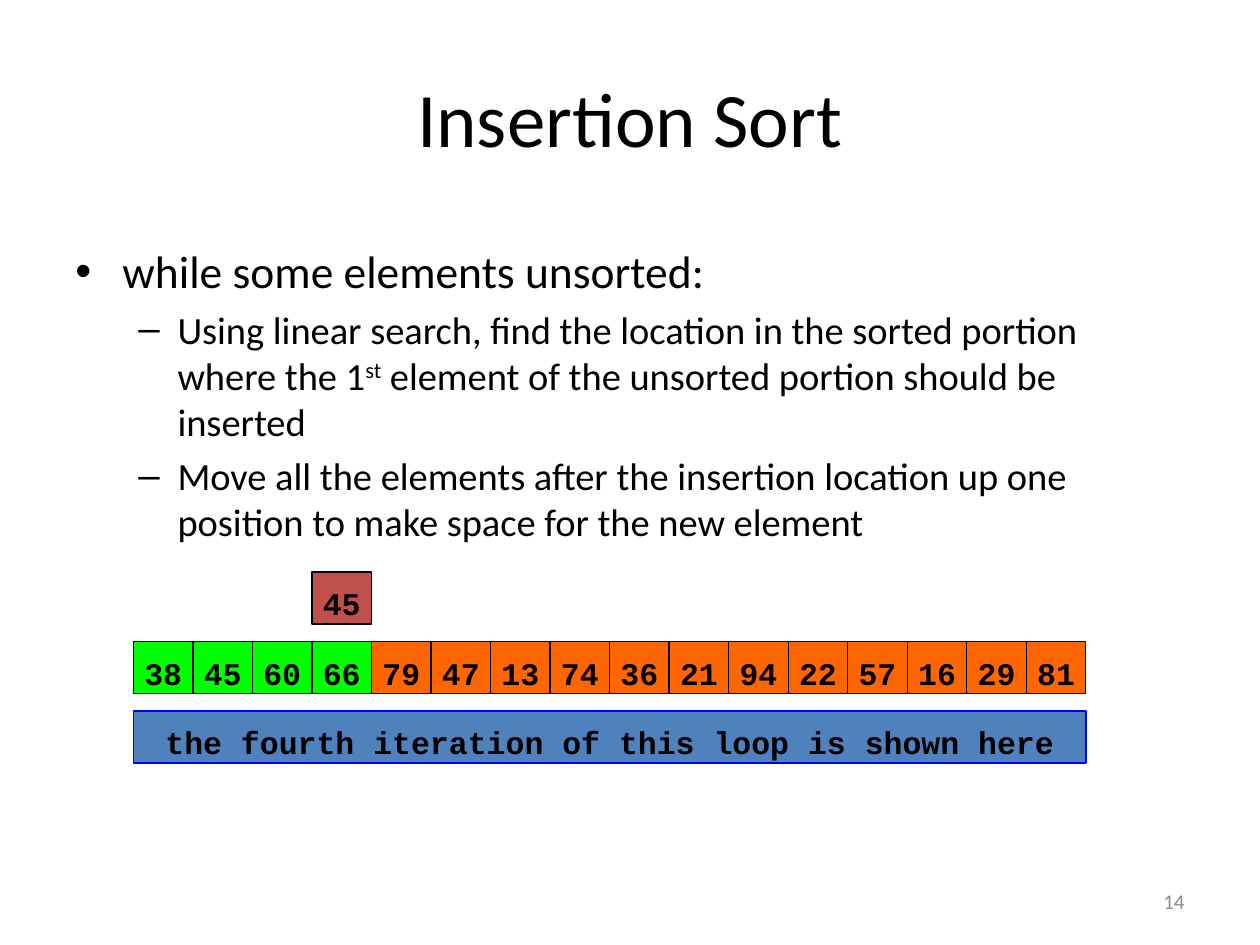
from pptx import Presentation
from pptx.dml.color import RGBColor
from pptx.enum.shapes import MSO_SHAPE as Shape
from pptx.enum.text import MSO_ANCHOR as Anchor, PP_ALIGN as Align
from pptx.oxml.ns import qn
from pptx.util import Cm, Pt
from lxml.etree import SubElement


def color(value):
    return RGBColor.from_string(value)


def write(para, text, font="Calibri", size=18, fill="000000", bold=False, align=None, raised=False):
    if align is not None:
        para.alignment = align
    span = para.add_run()
    span.text = text
    span.font.name = font
    span.font.size = Pt(size)
    span.font.bold = bold
    span.font.color.rgb = color(fill)
    if raised:
        span._r.get_or_add_rPr().set("baseline", "30000")


class SlideBuilder:
    code = {"font": "Courier New", "size": 18, "bold": True, "align": Align.CENTER}
    levels = [
        {"bullet": "•", "size": 26, "left": 0.95, "hang": 0.95, "before": 0},
        {"bullet": "–", "size": 22, "left": 2.06, "hang": 0.79, "before": 4.4},
    ]

    def __init__(self, page):
        self.page = page

    def title(self, text, left, top, width, height):
        box = self.page.shapes.title
        box.left, box.top, box.width, box.height = Cm(left), Cm(top), Cm(width), Cm(height)
        box.text_frame.vertical_anchor = Anchor.MIDDLE
        write(box.text_frame.paragraphs[0], text, size=44, align=Align.CENTER)

    def text_box(self, left, top, width, height, anchor=Anchor.TOP):
        box = self.page.shapes.add_textbox(Cm(left), Cm(top), Cm(width), Cm(height))
        box.text_frame.word_wrap = True
        box.text_frame.vertical_anchor = anchor
        return box.text_frame

    def bullets(self, items, left, top, width, height):
        frame = self.text_box(left, top, width, height)
        for index, (level, parts) in enumerate(items):
            para = frame.add_paragraph() if index else frame.paragraphs[0]
            style = self.levels[level]
            para.level = level
            para.space_before = Pt(style["before"])
            properties = para._p.get_or_add_pPr()
            properties.set("marL", str(Cm(style["left"])))
            properties.set("indent", str(-Cm(style["hang"])))
            SubElement(properties, qn("a:buFont")).set("typeface", "Arial")
            SubElement(properties, qn("a:buChar")).set("char", style["bullet"])
            for position, part in enumerate(parts):
                write(para, part, size=style["size"], raised=position % 2 == 1)

    def block(self, text, left, top, width, fill, line="000000", weight=0.75):
        box = self.page.shapes.add_shape(Shape.RECTANGLE, Cm(left), Cm(top), Cm(width), Cm(1.05))
        box.shadow.inherit = False
        box.fill.solid()
        box.fill.fore_color.rgb = color(fill)
        box.line.color.rgb = color(line)
        box.line.width = Pt(weight)
        frame = box.text_frame
        frame.word_wrap = True
        frame.vertical_anchor = Anchor.TOP
        frame.margin_left = frame.margin_right = Cm(0.13)
        frame.margin_top, frame.margin_bottom = Cm(0.25), Cm(0)
        write(frame.paragraphs[0], text, **self.code)

    def page_number(self, text, left, top, width, height):
        frame = self.text_box(left, top, width, height, Anchor.MIDDLE)
        write(frame.paragraphs[0], text, size=12, fill="8C8C8C", align=Align.RIGHT)


def main():
    deck = Presentation()
    deck.slide_width, deck.slide_height = Cm(25.4), Cm(19.05)
    builder = SlideBuilder(deck.slides.add_slide(deck.slide_layouts[5]))

    builder.title("Insertion Sort", 1.27, 0.76, 22.86, 3.18)
    builder.bullets([
        (0, ["while some elements unsorted:"]),
        (1, ["Using linear search, find the location in the sorted portion where the 1", "st",
             " element of the unsorted portion should be inserted"]),
        (1, ["Move all the elements after the insertion location up one position "
             "to make space for the new element"]),
    ], 1.27, 4.78, 22.86, 7.29)

    values = [38, 45, 60, 66, 79, 47, 13, 74, 36, 21, 94, 22, 57, 16, 29, 81]
    sorted_count = 4
    left, top, cell, row_step = 2.69, 12.93, 1.2, 1.4
    for index, value in enumerate(values):
        fill = "00FF00" if index < sorted_count else "FF6600"
        builder.block(str(value), left + index * cell, top, cell, fill)
    builder.block("45", left + (sorted_count - 1) * cell, top - row_step, cell, "C0504D")
    builder.block("the fourth iteration of this loop is shown here", left, top + row_step,
                  len(values) * cell, "4F81BD", line="0000FF", weight=1)

    builder.page_number("14", 18.2, 17.65, 5.93, 1.02)
    deck.save("out.pptx")


if __name__ == "__main__":
    main()
